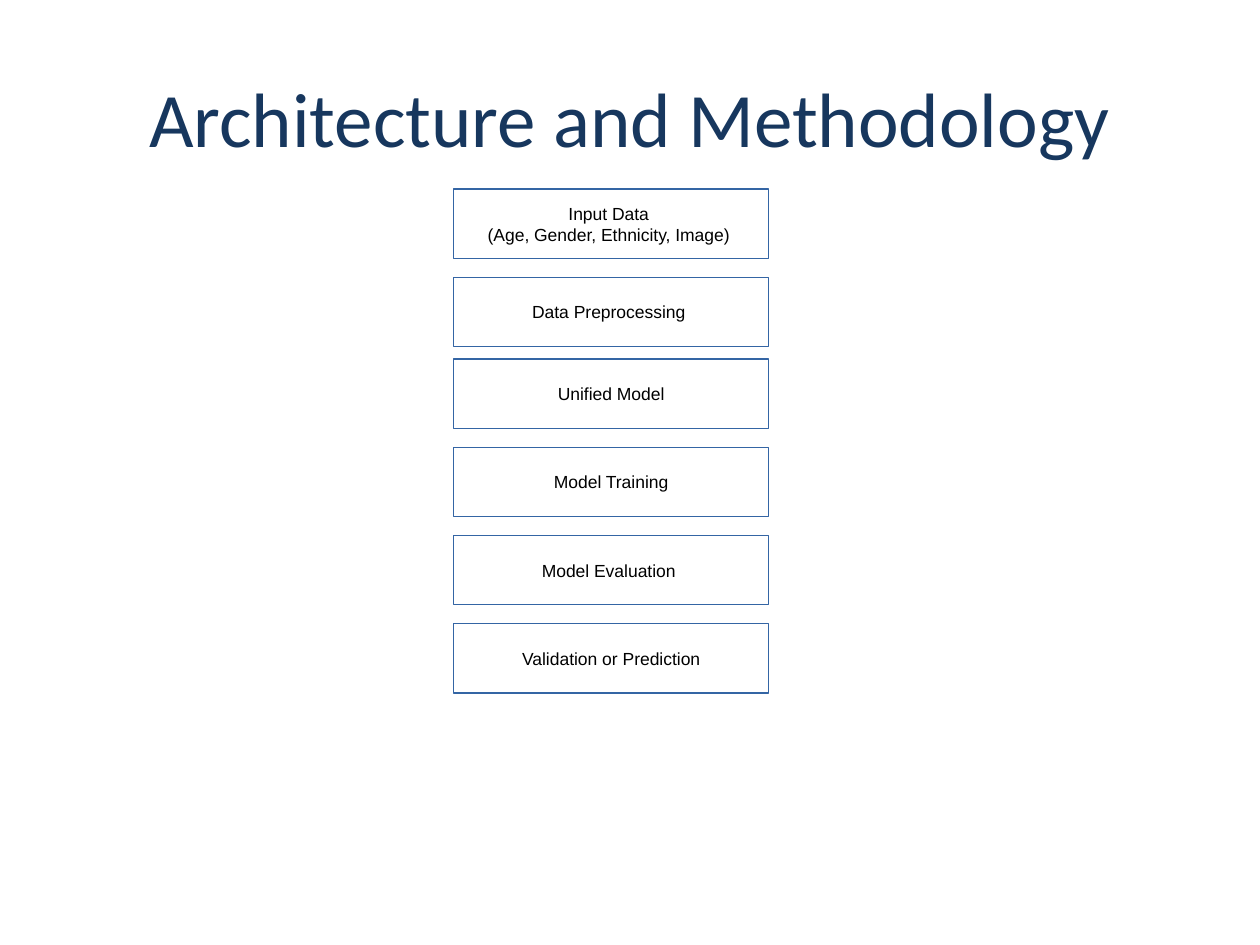
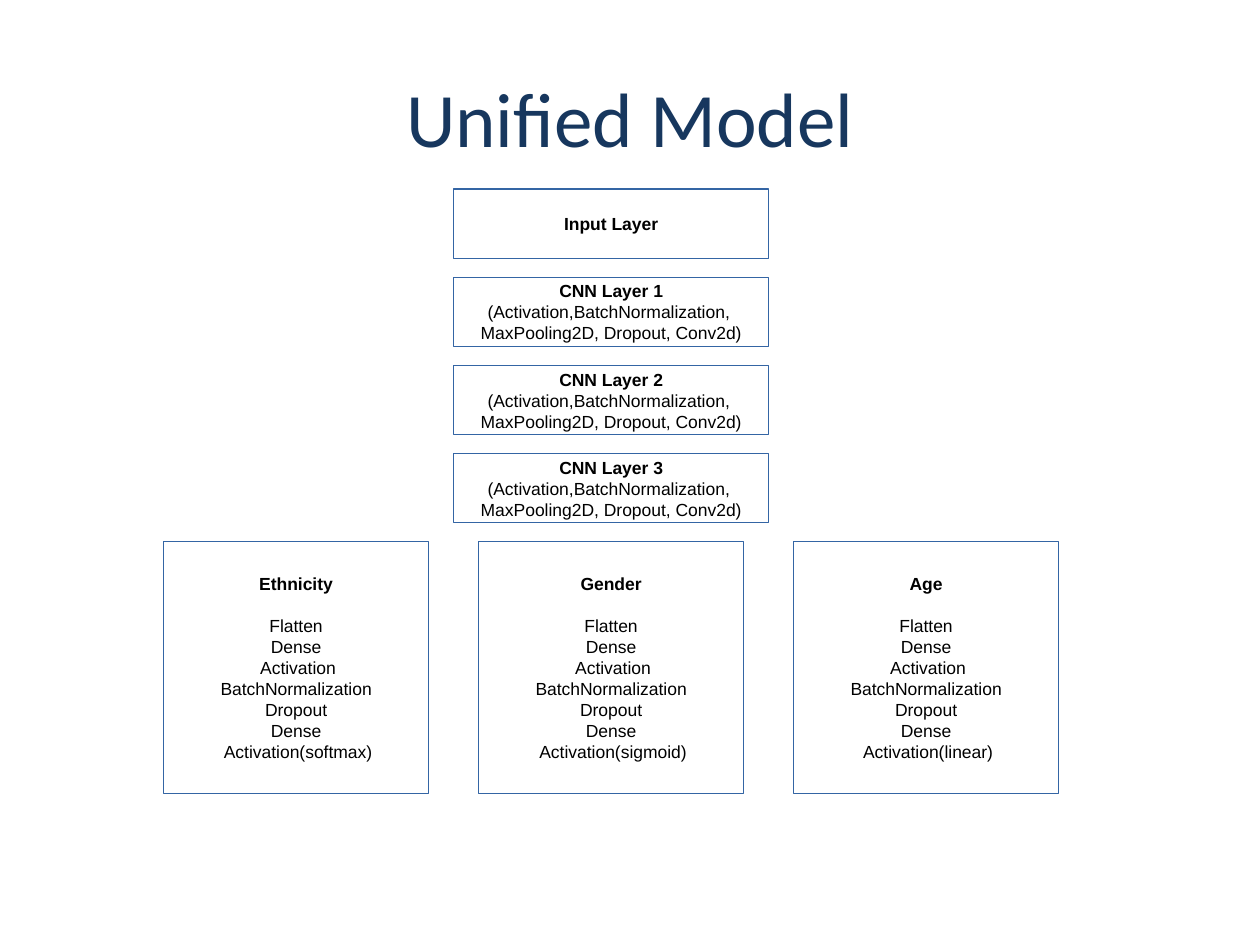
from pptx import Presentation
from pptx.dml.color import RGBColor
from pptx.enum.shapes import MSO_SHAPE
from pptx.enum.text import MSO_ANCHOR, PP_ALIGN
from pptx.util import Inches, Pt

NAVY = RGBColor(0x17, 0x37, 0x5E)
BLUE = RGBColor(0x34, 0x65, 0xA4)
WHITE = RGBColor(0xFF, 0xFF, 0xFF)
BLACK = RGBColor(0x00, 0x00, 0x00)

# Shared column of boxes
BOX_LEFT, BOX_TOP, BOX_W, BOX_H = 3.6, 1.5, 2.5, 0.55
BOX_STEP = 0.7


class Deck:
    """Holds the style and the current slide."""

    def __init__(self):
        self.prs = Presentation()
        self.prs.slide_width = Inches(10)
        self.prs.slide_height = Inches(7.5)
        self.s = None

    def add_slide(self, title):
        self.s = self.prs.slides.add_slide(self.prs.slide_layouts[6])
        tb = self.s.shapes.add_textbox(Inches(0.5), Inches(0.3), Inches(9), Inches(1.25))
        tf = tb.text_frame
        tf.word_wrap = True
        tf.vertical_anchor = MSO_ANCHOR.MIDDLE
        self.add_run(tf.paragraphs[0], title, 44, "Calibri", NAVY)

    def add_run(self, p, text, size=10, font="Arial", color=BLACK, bold=False):
        p.alignment = PP_ALIGN.CENTER
        r = p.add_run()
        r.text = text
        r.font.size = Pt(size)
        r.font.name = font
        r.font.color.rgb = color
        r.font.bold = bold

    def add_box(self, left, top, width, height, lines, heading=None, heading_gap=0):
        sp = self.s.shapes.add_shape(MSO_SHAPE.RECTANGLE, Inches(left), Inches(top),
                                     Inches(width), Inches(height))
        sp.shadow.inherit = False
        sp.fill.solid()
        sp.fill.fore_color.rgb = WHITE
        sp.line.color.rgb = BLUE
        sp.line.width = Pt(0.75)
        tf = sp.text_frame
        tf.word_wrap = False
        tf.vertical_anchor = MSO_ANCHOR.MIDDLE
        rows = ([heading] if heading else []) + lines
        for i, text in enumerate(rows):
            p = tf.add_paragraph() if i else tf.paragraphs[0]
            is_heading = bool(heading) and i == 0
            self.add_run(p, text, bold=is_heading)
            if is_heading and heading_gap:
                p.space_after = Pt(heading_gap)

    def add_step(self, top, lines, heading=None):
        self.add_box(BOX_LEFT, top, BOX_W, BOX_H, lines, heading)


def build_methodology(deck):
    deck.add_slide("Architecture and Methodology")
    steps = [
        ["Input Data ", "(Age, Gender, Ethnicity, Image) "],
        ["Data Preprocessing "],
        ["Unified Model"],
        ["Model Training"],
        ["Model Evaluation "],
        ["Validation or Prediction"],
    ]
    for i, lines in enumerate(steps):
        # From the third step on, the column sits slightly higher
        lift = 0.05 if i >= 2 else 0
        deck.add_step(BOX_TOP + i * BOX_STEP - lift, lines)


def build_unified_model(deck):
    deck.add_slide("Unified Model")

    # Shared layers
    deck.add_step(BOX_TOP, [], "Input Layer")
    cnn_parts = ["(Activation,BatchNormalization, ", "MaxPooling2D, Dropout, Conv2d)"]
    for n in range(1, 4):
        deck.add_step(BOX_TOP + n * BOX_STEP, cnn_parts, f"CNN Layer {n}")

    # Output branches
    branch_parts = ["Flatten", "Dense", " Activation", "BatchNormalization",
                    "Dropout", "Dense"]
    branches = [("Ethnicity", "softmax"), ("Gender", "sigmoid"), ("Age", "linear")]
    for i, (target, activation) in enumerate(branches):
        deck.add_box(1.3 + i * 2.5, BOX_TOP + 4 * BOX_STEP, 2.1, 2,
                     branch_parts + [f" Activation({activation})"],
                     target, heading_gap=12)


def main():
    deck = Deck()
    build_methodology(deck)
    build_unified_model(deck)
    deck.prs.save("out.pptx")


if __name__ == "__main__":
    main()
